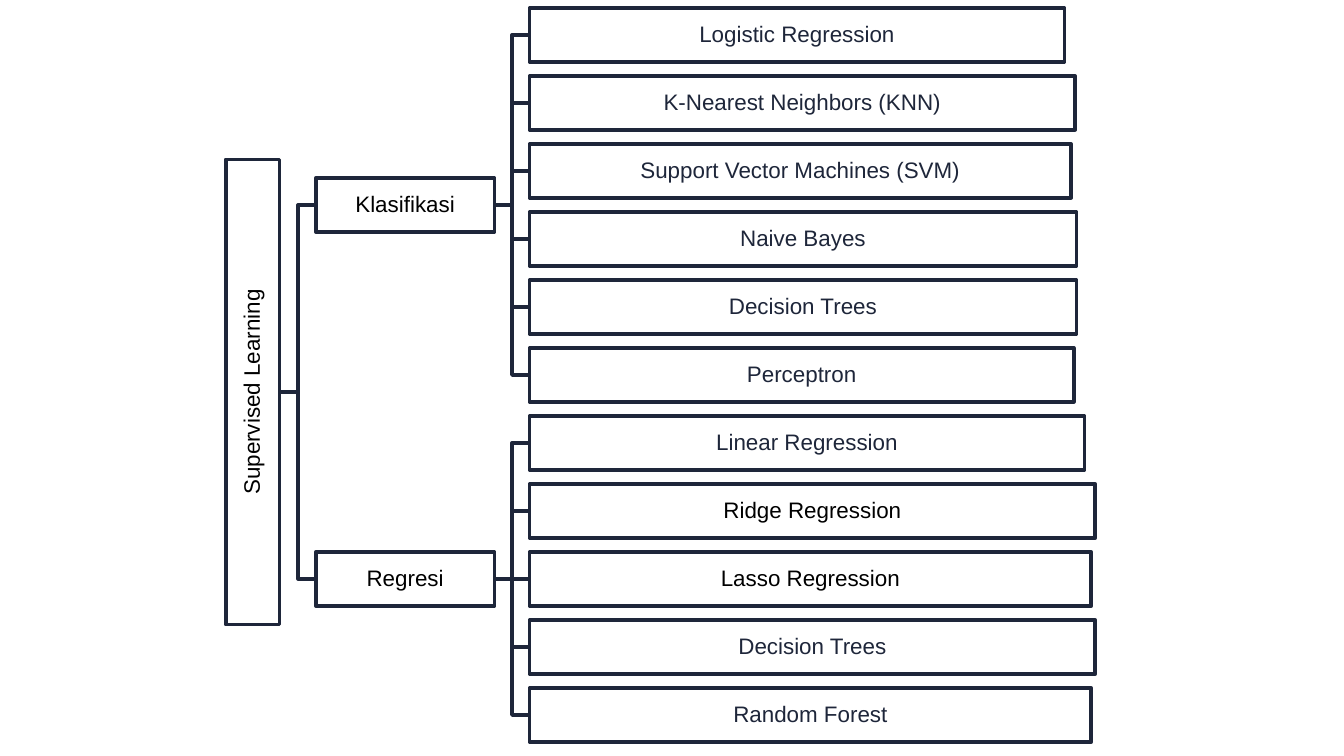
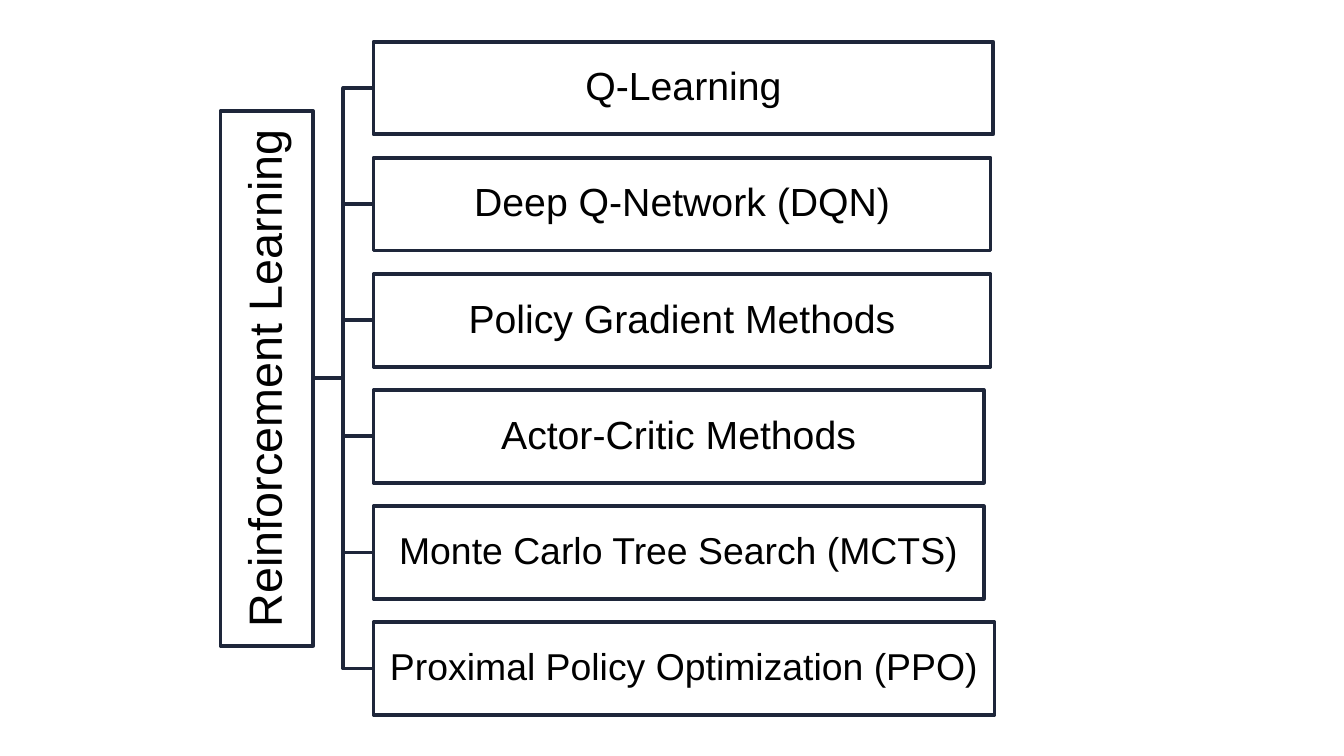
from lxml import etree
from pptx import Presentation
from pptx.dml.color import RGBColor
from pptx.enum import shapes, text
from pptx.oxml.ns import qn
from pptx.util import Inches, Pt

NAVY = RGBColor(0x1E, 0x26, 0x3A)
BLACK = RGBColor(0, 0, 0)
WHITE = RGBColor(0xFF, 0xFF, 0xFF)

CLASSIFIERS = [
    ("Logistic Regression", 3.98, NAVY),
    ("K-Nearest Neighbors (KNN)", 4.06, NAVY),
    ("Support Vector Machines (SVM)", 4.03, NAVY),
    ("Naive Bayes", 4.07, NAVY),
    ("Decision Trees", 4.07, NAVY),
    ("Perceptron", 4.05, NAVY),
]
REGRESSORS = [
    ("Linear Regression", 4.13, NAVY),
    ("Ridge Regression", 4.21, BLACK),
    ("Lasso Regression", 4.18, BLACK),
    ("Decision Trees", 4.21, NAVY),
    ("Random Forest", 4.18, NAVY),
]
REINFORCEMENT = [
    ("Q-Learning", 4.61, 21),
    ("Deep Q-Network (DQN)", 4.59, 21),
    ("Policy Gradient Methods", 4.59, 21),
    ("Actor-Critic Methods", 4.54, 21),
    ("Monte Carlo Tree Search (MCTS)", 4.54, 20),
    ("Proximal Policy Optimization (PPO)", 4.62, 20),
]


def midpoint(centres):
    return (centres[0] + centres[-1]) / 2


class TreeDeck:
    font = "Arial"
    stroke = Pt(2)

    def __init__(self):
        self.prs = Presentation()
        self.prs.slide_width = Inches(10)
        self.prs.slide_height = Inches(10 * 9 / 16)

    def new_slide(self, box_height):
        self.slide = self.prs.slides.add_slide(self.prs.slide_layouts[6])
        self.box_height = box_height
        panel = self.slide.shapes.add_shape(
            shapes.MSO_SHAPE.RECTANGLE, 0, 0, self.prs.slide_width, self.prs.slide_height)
        panel.fill.solid()
        panel.fill.fore_color.rgb = WHITE
        self.outline(panel, WHITE)

    def outline(self, shape, color):
        shape.shadow.inherit = False
        shape.line.color.rgb = color
        shape.line.width = self.stroke

    def row_centres(self, first_top, last_top, count):
        pitch = (last_top - first_top) / (count - 1)
        return [first_top + self.box_height / 2 + pitch * row for row in range(count)]

    def box(self, label, left, centre, width, size, color=BLACK, turned=False):
        height = self.box_height
        if turned:
            left -= (width - height) / 2
        node = self.slide.shapes.add_shape(
            shapes.MSO_SHAPE.RECTANGLE, Inches(left), Inches(centre - height / 2),
            Inches(width), Inches(height))
        node.rotation = 270 if turned else 0
        node.fill.background()
        self.outline(node, NAVY)
        frame = node.text_frame
        frame.text = label
        frame.word_wrap = True
        frame.vertical_anchor = text.MSO_ANCHOR.MIDDLE
        frame.margin_left = frame.margin_right = Inches(0.01)
        frame.margin_top = frame.margin_bottom = Inches(0.01)
        paragraph = frame.paragraphs[0]
        paragraph.alignment = text.PP_ALIGN.CENTER
        paragraph.line_spacing = 0.9
        font = paragraph.runs[0].font
        font.name, font.size = self.font, Pt(size)
        font.color.rgb = color

    def branch(self, left, right, parent, child):
        x1, x2, y1, y2 = (Inches(v) for v in (left, right, parent, child))
        if abs(parent - child) < 0.01:
            link = self.slide.shapes.add_connector(
                shapes.MSO_CONNECTOR.STRAIGHT, x1, y1, x2, y1)
            link.line.color.rgb = NAVY
            link.line.width = self.stroke
            etree.SubElement(link._element.spPr, qn("a:effectLst"))
            return
        bend = (x1 + x2) // 2
        builder = self.slide.shapes.build_freeform(x1, y1)
        builder.add_line_segments([(bend, y1), (bend, y2), (x2, y2)], close=False)
        link = builder.convert_to_shape()
        link.fill.background()
        self.outline(link, NAVY)

    def branches(self, left, right, parent, children):
        for child in reversed(children):
            self.branch(left, right, parent, child)

    def supervised(self):
        self.new_slide(box_height=0.4)
        leaves = CLASSIFIERS + REGRESSORS
        rows = self.row_centres(0.06, 5.12, len(leaves))
        split = len(CLASSIFIERS)
        groups = [("Klasifikasi", rows[:split]), ("Regresi", rows[split:])]
        group_centres = [midpoint(centres) for _, centres in groups]
        root = midpoint(group_centres)
        self.branches(2.09, 2.35, root, group_centres)
        for (_, centres), parent in zip(groups, group_centres):
            self.branches(3.68, 3.94, parent, centres)
        self.box("Supervised Learning", 1.68, root, 3.46, 12, turned=True)
        for (label, _), centre in zip(groups, group_centres):
            self.box(label, 2.35, centre, 1.33, 12)
        for (label, width, color), centre in zip(leaves, rows):
            self.box(label, 3.94, centre, width, 12, color)

    def reinforcement(self):
        self.new_slide(box_height=0.69)
        rows = self.row_centres(0.31, 4.63, len(REINFORCEMENT))
        root = midpoint(rows)
        self.branches(2.33, 2.78, root, rows)
        self.box("Reinforcement Learning", 1.64, root, 3.98, 25, turned=True)
        for (label, width, size), centre in zip(REINFORCEMENT, rows):
            self.box(label, 2.78, centre, width, size)


def main():
    deck = TreeDeck()
    deck.supervised()
    deck.reinforcement()
    deck.prs.save("out.pptx")


if __name__ == "__main__":
    main()
